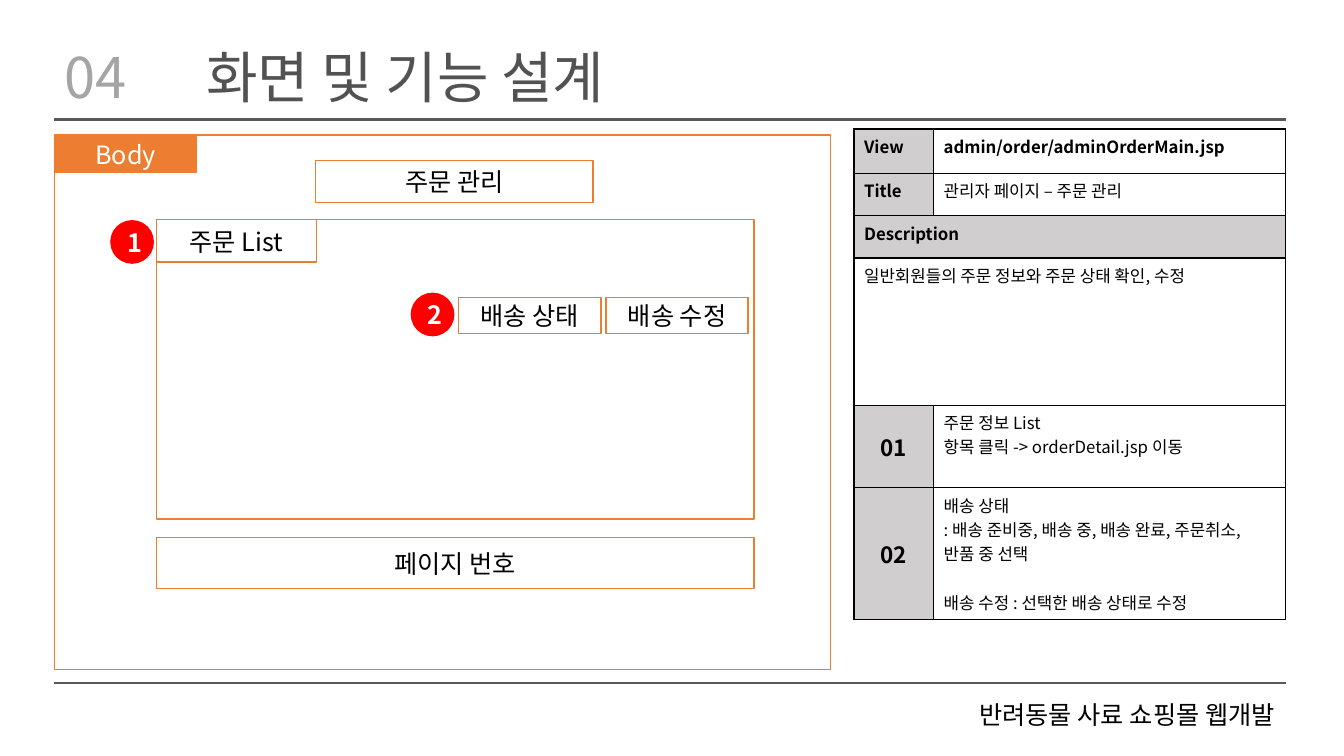
from lxml import etree
from pptx import Presentation
from pptx import util as u
from pptx.dml.color import RGBColor
from pptx.enum import shapes, text
from pptx.oxml.ns import qn

RECTANGLE = shapes.MSO_SHAPE.RECTANGLE
OVAL = shapes.MSO_SHAPE.OVAL
LEFT, CENTER, RIGHT = text.PP_ALIGN.LEFT, text.PP_ALIGN.CENTER, text.PP_ALIGN.RIGHT
TOP, MIDDLE = text.MSO_ANCHOR.TOP, text.MSO_ANCHOR.MIDDLE


def px(value):
    return u.Emu(value * 9144)


def color(value):
    return RGBColor.from_string(value)


class WireframeSlide:
    font = "Noto Sans CJK KR"
    black = "000000"
    white = "FFFFFF"
    orange = "ED7D31"
    red = "FF0000"
    rule_gray = "595959"
    number_gray = "A5A5A5"
    title_gray = "525252"
    label_gray = "D0CECE"

    def __init__(self, presentation):
        self.slide = presentation.slides.add_slide(presentation.slide_layouts[6])

    def add_text(self, paragraph, content, size, ink, bold=False, align=LEFT):
        paragraph.alignment = align
        run = paragraph.add_run()
        run.text = content
        run.font.size = u.Pt(size)
        run.font.bold = bold
        run.font.name = self.font
        run.font.color.rgb = color(ink)
        east_asian = etree.SubElement(run.font._element, qn("a:ea"))
        east_asian.set("typeface", self.font)

    def rule(self, y, width):
        connector = self.slide.shapes.add_connector(
            shapes.MSO_CONNECTOR.STRAIGHT, px(54), px(y), px(1275), px(y))
        connector.line.color.rgb = color(self.rule_gray)
        connector.line.width = u.Pt(width)
        etree.SubElement(connector._element.spPr, qn("a:effectLst"))

    def heading(self, box, content, size, ink, spacing, align=LEFT):
        shape = self.slide.shapes.add_textbox(*map(px, box))
        frame = shape.text_frame
        frame.word_wrap = True
        frame.vertical_anchor = MIDDLE
        paragraph = frame.paragraphs[0]
        paragraph.line_spacing = spacing
        self.add_text(paragraph, content, size, ink, align=align)

    def box(self, box, content="", ink=black, fill=None, line=orange,
            kind=RECTANGLE, bold=False):
        shape = self.slide.shapes.add_shape(kind, *map(px, box))
        shape.shadow.inherit = False
        if fill:
            shape.fill.solid()
            shape.fill.fore_color.rgb = color(fill)
        else:
            shape.fill.background()
        shape.line.color.rgb = color(line)
        shape.line.width = u.Pt(1)
        if content:
            shape.text_frame.vertical_anchor = MIDDLE
            self.add_text(shape.text_frame.paragraphs[0], content, 18, ink, bold, CENTER)

    def badge(self, x, y, number):
        self.box((x, y, 42, 42), number, self.white, self.red, self.red, OVAL, True)

    def table(self, box, columns, heights):
        frame = self.slide.shapes.add_table(len(heights), len(columns), *map(px, box))
        table = frame.table
        table.first_row = False
        table.horz_banding = False
        for column, width in zip(table.columns, columns):
            column.width = px(width)
        for row, height in zip(table.rows, heights):
            row.height = px(height)
        for cell in table.iter_cells():
            self.borders(cell)
        return table

    def borders(self, cell):
        properties = cell._tc.get_or_add_tcPr()
        for side in ("a:lnL", "a:lnR", "a:lnT", "a:lnB"):
            line = etree.SubElement(properties, qn(side), w=str(u.Pt(1)))
            fill = etree.SubElement(line, qn("a:solidFill"))
            etree.SubElement(fill, qn("a:srgbClr"), val=self.black)

    def cell(self, cell, lines, fill, size=12, bold=False, align=LEFT, anchor=TOP):
        cell.fill.solid()
        cell.fill.fore_color.rgb = color(fill)
        cell.vertical_anchor = anchor
        frame = cell.text_frame
        for index, content in enumerate(lines):
            paragraph = frame.add_paragraph() if index else frame.paragraphs[0]
            self.add_text(paragraph, content, size, self.black, bold, align)


def add_header_and_footer(page):
    page.rule(119, 2.25)
    page.rule(678, 1.5)
    page.heading((773, 693, 501, 37), "반려동물 사료 쇼핑몰 웹개발", 18, page.black, 0.8, RIGHT)
    page.heading((54, 47, 84, 66), "04", 40, page.number_gray, 0.9)
    page.heading((195, 47, 1080, 66), "화면 및 기능 설계", 40, page.title_gray, 0.9)


def add_description_table(page):
    table = page.table((847, 128, 428, 487), (79, 349), (44, 42, 42, 146, 82, 131))

    view_rows = (("View", "admin/order/adminOrderMain.jsp", True),
                 ("Title", "관리자 페이지 – 주문 관리", False))
    for row, (label, value, bold) in enumerate(view_rows):
        page.cell(table.cell(row, 0), [label], page.label_gray, bold=True)
        page.cell(table.cell(row, 1), [value], page.white, bold=bold)

    description_rows = (("Description", page.label_gray, True),
                        ("일반회원들의 주문 정보와 주문 상태 확인, 수정", page.white, False))
    for row, (content, fill, bold) in enumerate(description_rows, 2):
        table.cell(row, 0).merge(table.cell(row, 1))
        page.cell(table.cell(row, 0), [content], fill, bold=bold)

    feature_rows = (
        ("01", ["주문 정보 List", "항목 클릭 -> orderDetail.jsp 이동"]),
        ("02", ["배송 상태",
                ": 배송 준비중, 배송 중, 배송 완료, 주문취소, 반품 중 선택",
                "배송 수정 : 선택한 배송 상태로 수정"]),
    )
    for row, (number, lines) in enumerate(feature_rows, 4):
        page.cell(table.cell(row, 0), [number], page.label_gray, 16, True, CENTER, MIDDLE)
        page.cell(table.cell(row, 1), lines, page.white)
    table.cell(5, 1).text_frame.paragraphs[-1].space_before = u.Pt(17.5)


def add_wireframe(page):
    page.box((54, 134, 770, 530))
    page.box((54, 136, 141, 35), "Body", page.white, page.orange)
    page.box((155, 218, 593, 297))
    page.box((155, 533, 593, 51), "페이지 번호")
    page.box((313, 159, 275, 42), "주문 관리")
    for index, label in enumerate(("배송 상태", "배송 수정")):
        page.box((455 + index * 146, 295, 141, 36), label)
    page.box((155, 218, 159, 42), "주문 List")
    page.badge(110, 219, "1")
    page.badge(408, 291, "2")


def main():
    presentation = Presentation()
    presentation.slide_width = px(1333)
    presentation.slide_height = px(750)
    page = WireframeSlide(presentation)
    add_header_and_footer(page)
    add_description_table(page)
    add_wireframe(page)
    presentation.save("out.pptx")


if __name__ == "__main__":
    main()
